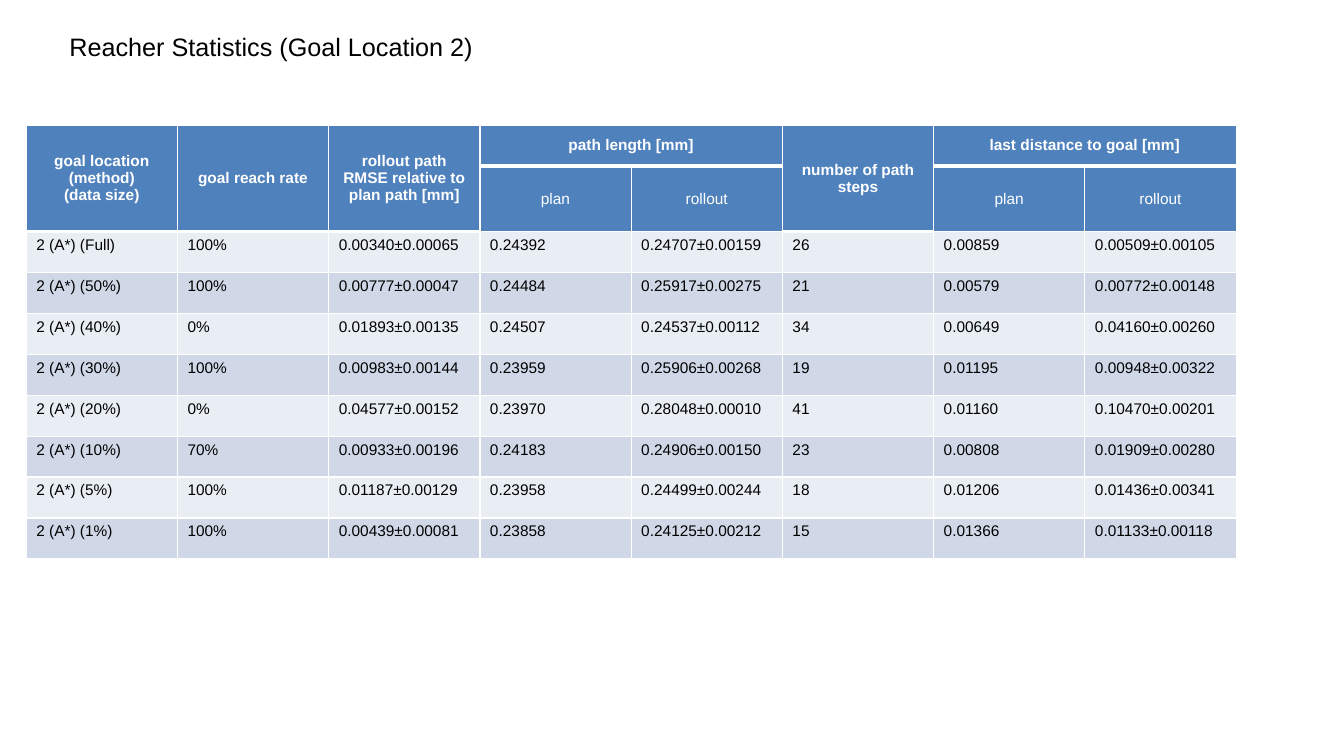
"""Build a slide with a table of reacher statistics for goal location 2."""
from lxml import etree
from pptx import Presentation
from pptx import util as u
from pptx.dml.color import RGBColor
from pptx.enum import text
from pptx.oxml import ns

WIDE, HIGH = u.Inches(13.33), u.Inches(7.5)
COL, ROW = u.Inches(1.5), u.Inches(0.406)
BLUE, PALE, DARK = "4F81BD", "E9EDF4", "D0D8E8"
WHITE, BLACK = "FFFFFF", "000000"


def paint(part, tint):
    if hasattr(part, "solid"):
        part.solid()
        part = part.fore_color
    part.rgb = RGBColor.from_string(tint)


def style(frame, tint, look, align=None):
    for para in frame.paragraphs:
        para.alignment = align
        for run in para.runs:
            for key, val in look.items():
                setattr(run.font, key, val)
            paint(run.font.color, tint)


heads = {
    (0, 0, 1, 0): "goal location (method)\n(data size)",
    (0, 1, 1, 1): "goal reach rate",
    (0, 2, 1, 2): "rollout path RMSE relative to plan path [mm]",
    (0, 3, 0, 4): "path length [mm]",
    (0, 5, 1, 5): "number of path steps",
    (0, 6, 0, 7): "last distance to goal [mm]",
}
subs = {3: "plan", 4: "rollout", 6: "plan", 7: "rollout"}
stats = [
    ("Full", "100%", "0.00340±0.00065", "0.24392", "0.24707±0.00159", "26", "0.00859", "0.00509±0.00105"),
    ("50%", "100%", "0.00777±0.00047", "0.24484", "0.25917±0.00275", "21", "0.00579", "0.00772±0.00148"),
    ("40%", "0%", "0.01893±0.00135", "0.24507", "0.24537±0.00112", "34", "0.00649", "0.04160±0.00260"),
    ("30%", "100%", "0.00983±0.00144", "0.23959", "0.25906±0.00268", "19", "0.01195", "0.00948±0.00322"),
    ("20%", "0%", "0.04577±0.00152", "0.23970", "0.28048±0.00010", "41", "0.01160", "0.10470±0.00201"),
    ("10%", "70%", "0.00933±0.00196", "0.24183", "0.24906±0.00150", "23", "0.00808", "0.01909±0.00280"),
    ("5%", "100%", "0.01187±0.00129", "0.23958", "0.24499±0.00244", "18", "0.01206", "0.01436±0.00341"),
    ("1%", "100%", "0.00439±0.00081", "0.23858", "0.24125±0.00212", "15", "0.01366", "0.01133±0.00118"),
]
rows, cols = len(stats) + 2, len(stats[0])

deck = Presentation()
deck.slide_width, deck.slide_height = WIDE, HIGH
slide = deck.slides.add_slide(deck.slide_layouts[6])

title = slide.shapes.add_textbox(u.Inches(0.59), u.Inches(0.26), u.Inches(12.1), u.Inches(0.4))
title.text_frame.word_wrap = True
title.text_frame.text = "Reacher Statistics (Goal Location 2)"
style(title.text_frame, BLACK, {"name": "Arial", "size": u.Pt(18)})

grid = slide.shapes.add_table(rows, cols, u.Inches(0.26), u.Inches(1.24), COL * cols, ROW * rows).table
for key, val in {"first_row": False, "horz_banding": False}.items():
    setattr(grid, key, val)

for (top, left, low, right), label in heads.items():
    grid.cell(top, left).merge(grid.cell(low, right))
    grid.cell(top, left).text = label
for col, label in subs.items():
    grid.cell(1, col).text = label
for row, (size, *vals) in enumerate(stats, 2):
    for col, val in enumerate([f"2 (A*) ({size})", *vals]):
        grid.cell(row, col).text = val

for row in range(rows):
    for col in range(cols):
        cell = grid.cell(row, col)
        head = row < 2
        paint(cell.fill, BLUE if head else (PALE, DARK)[row % 2])
        look = {"name": "Arial", "size": u.Pt(11), "bold": row == 0}
        style(cell.text_frame, WHITE if head else BLACK, look, text.PP_ALIGN.CENTER if head else None)
        if head:
            cell.vertical_anchor = text.MSO_ANCHOR.MIDDLE
        thick = row == 0 or (row == 1 and col not in subs)
        props = cell._tc.get_or_add_tcPr()
        for spot, side in enumerate("LRTB"):
            width = u.Pt(3 if thick and side == "B" else 1)
            line = etree.Element(ns.qn(f"a:ln{side}"), w=str(width))
            fill = etree.SubElement(line, ns.qn("a:solidFill"))
            etree.SubElement(fill, ns.qn("a:srgbClr"), val=WHITE)
            props.insert(spot, line)

deck.save("out.pptx")
